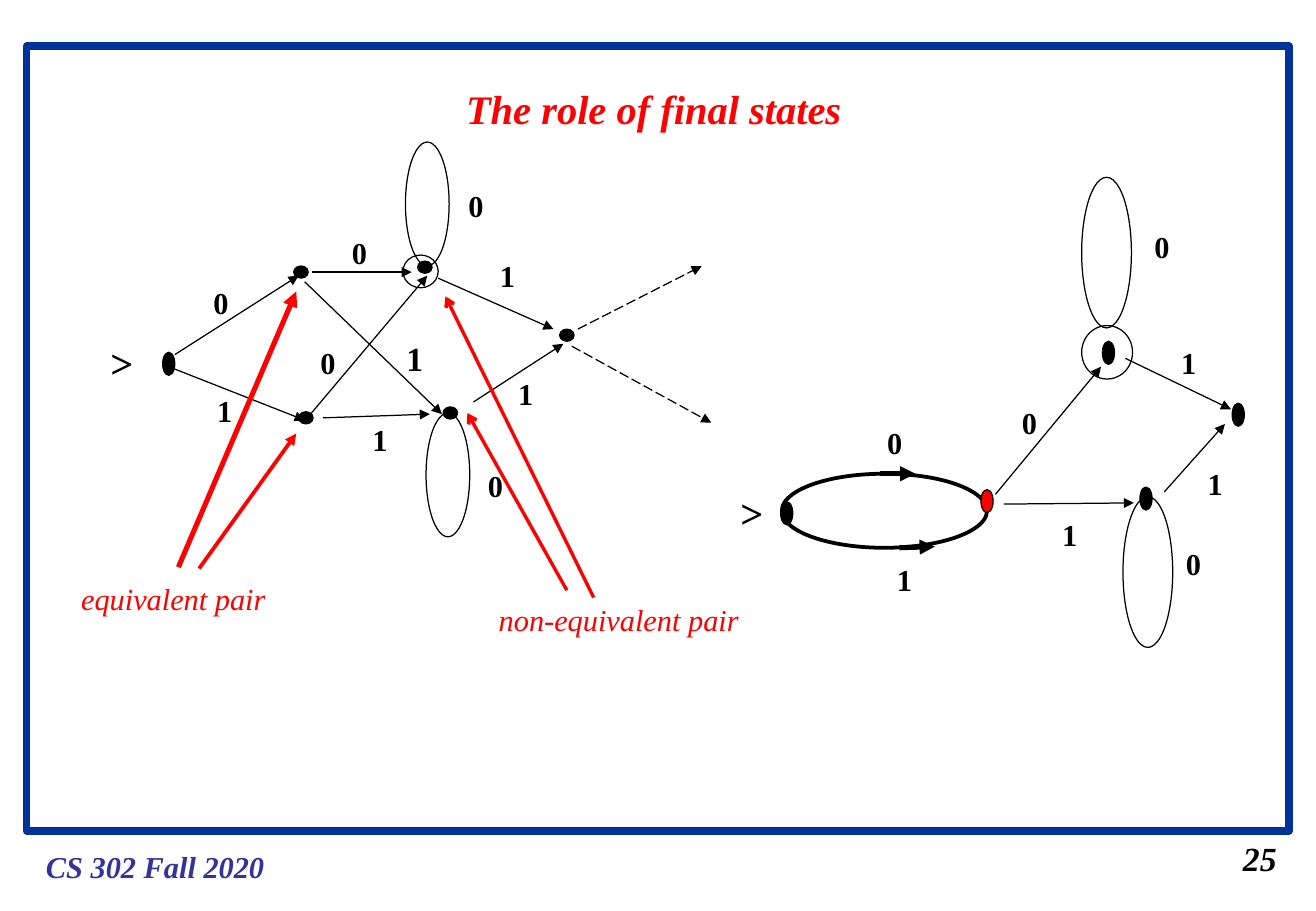
from dataclasses import dataclass

from lxml.etree import SubElement
from pptx import Presentation
from pptx.dml.color import RGBColor
from pptx.enum.dml import MSO_LINE
from pptx.enum.shapes import MSO_CONNECTOR, MSO_SHAPE
from pptx.enum.text import MSO_AUTO_SIZE
from pptx.oxml.ns import qn
from pptx.slide import Slide
from pptx.util import Pt


@dataclass(frozen=True)
class Theme:
    font: str = "Times New Roman"
    black: str = "000000"
    red: str = "FF0000"
    white: str = "FFFFFF"
    frame: str = "003399"
    footer: str = "333399"
    label: float = 18
    large: float = 20
    title: float = 24
    thin: float = 0.75


theme = Theme()


@dataclass(frozen=True)
class Shape:
    x: float
    y: float
    w: float
    h: float
    fill: str = ""
    color: str = theme.black
    width: float = theme.thin
    kind: MSO_SHAPE = MSO_SHAPE.OVAL


@dataclass(frozen=True)
class Arrow:
    x: float
    y: float
    to_x: float
    to_y: float
    color: str = theme.black
    width: float = theme.thin
    dash: bool = False
    head: str = "triangle"


@dataclass(frozen=True)
class Label:
    text: str
    x: float
    y: float
    w: float = 23
    size: float = theme.label
    color: str = theme.black
    bold: bool = True
    slant: bool = False
    wrap: bool = False
    edge: str = ""


def small(x: float, y: float) -> Shape:
    return Shape(x, y, 8.6, 7.2, theme.black)


def tall(x: float, y: float, fill: str = theme.black) -> Shape:
    return Shape(x, y, 7.2, 13.7, fill)


def draw_shape(slide: Slide, item: Shape) -> None:
    shape = slide.shapes.add_shape(item.kind, Pt(item.x), Pt(item.y), Pt(item.w), Pt(item.h))
    shape.shadow.inherit = False
    if item.fill:
        shape.fill.solid()
        shape.fill.fore_color.rgb = RGBColor.from_string(item.fill)
    else:
        shape.fill.background()
    shape.line.color.rgb = RGBColor.from_string(item.color)
    shape.line.width = Pt(item.width)


def draw_arrow(slide: Slide, item: Arrow) -> None:
    arrow = slide.shapes.add_connector(
        MSO_CONNECTOR.STRAIGHT, Pt(item.x), Pt(item.y), Pt(item.to_x), Pt(item.to_y))
    arrow.line.color.rgb = RGBColor.from_string(item.color)
    arrow.line.width = Pt(item.width)
    if item.dash:
        arrow.line.dash_style = MSO_LINE.LONG_DASH
    props = arrow.element.spPr
    SubElement(props.find(qn("a:ln")), qn("a:tailEnd"), type=item.head)
    SubElement(props, qn("a:effectLst"))


def draw_label(slide: Slide, item: Label) -> None:
    high = item.size * 1.2 + 7.2
    box = slide.shapes.add_textbox(Pt(item.x), Pt(item.y), Pt(item.w), Pt(high))
    if item.edge:
        box.line.color.rgb = RGBColor.from_string(item.edge)
        box.line.width = Pt(theme.thin)
    frame = box.text_frame
    frame.word_wrap = item.wrap
    frame.auto_size = MSO_AUTO_SIZE.SHAPE_TO_FIT_TEXT
    frame.text = item.text
    font = frame.paragraphs[0].font
    font.name = theme.font
    font.size = Pt(item.size)
    font.bold = item.bold
    font.italic = item.slant
    font.color.rgb = RGBColor.from_string(item.color)


SHAPES = [
    Shape(15.8, 27.4, 748.8, 465.1, color=theme.frame, width=4.5, kind=MSO_SHAPE.RECTANGLE),
    Shape(252.7, 244.8, 25.9, 73.4),
    Shape(240.5, 84.2, 25.9, 73.4),
    Shape(239, 151.2, 20.9, 19.4),
    Shape(641.5, 105.1, 29.5, 89.3),
    Shape(666, 294.5, 29.5, 89.3),
    Shape(641.5, 193, 30.2, 31.7),
    Shape(463.7, 280.8, 121.7, 43.9, width=2.25),
    tall(96.5, 208.8),
    small(174.2, 157.7),
    small(177.1, 244.1),
    small(247.7, 154.8),
    small(331.9, 195.1),
    small(262.8, 241.2),
    tall(463, 297.4),
    tall(581.8, 290.2, theme.red),
    tall(653.8, 202.3),
    tall(676.1, 288.7),
    tall(730.8, 239),
]

ARROWS = [
    Arrow(342.7, 195.1, 416.2, 157.7, dash=True),
    Arrow(339.1, 205.2, 421.9, 250.6, dash=True),
    Arrow(103.7, 210.2, 177.1, 163.4),
    Arrow(102.2, 218.2, 180.7, 249.1),
    Arrow(180.7, 167, 262.1, 245.5),
    Arrow(182.9, 247, 253.4, 163.4),
    Arrow(185, 161.3, 244.1, 161.3),
    Arrow(191.5, 247.7, 254.9, 245.5),
    Arrow(259.9, 164.9, 328.3, 195.1),
    Arrow(280.8, 238.3, 334.1, 203.8),
    Arrow(522, 280.8, 542.9, 280.8, width=3),
    Arrow(533.5, 324.7, 554.4, 324, width=3),
    Arrow(590.4, 293, 653, 217.4),
    Arrow(595.4, 298.8, 672.5, 298.1),
    Arrow(667.4, 212.4, 730.1, 242.6),
    Arrow(690.5, 291.6, 726.5, 251.3),
    Arrow(105.8, 336.2, 175.7, 172.8, theme.red, 3),
    Arrow(118.1, 337, 175.7, 257, theme.red, 2.25),
    Arrow(352.1, 354.2, 264.2, 175.7, theme.red, 2, head="arrow"),
    Arrow(336.2, 349.9, 277.2, 244.8, theme.red, 2, head="arrow"),
]

ZEROS = [(119.5, 164.9), (201.6, 135.4), (182.9, 200.2), (282.2, 273.6), (270.7, 107.3),
         (519.1, 247.7), (599, 236.2), (677.5, 131.8), (696.2, 319.7)]
ONES = [(121.7, 229), (213.8, 246.2), (289.4, 149), (300.2, 218.9),
        (524.9, 329), (622.8, 302.4), (693.4, 200.2), (709.2, 272.2)]

LABELS = [
    *(Label("0", x, y) for x, y in ZEROS),
    *(Label("1", x, y) for x, y in ONES),
    Label("1", 234, 196.6, 24.5, theme.large),
    Label(">", 58.3, 196.6, 28.1, theme.title, wrap=True),
    Label(">", 432, 285.8, 33.1, theme.title, wrap=True),
    Label("equivalent pair", 41, 340.6, 123.8, color=theme.red, bold=False, slant=True,
          edge=theme.white),
    Label("non-equivalent pair", 288.7, 352.8, 157, color=theme.red, bold=False, slant=True),
    Label("The role of final states", 269.3, 46.1, 236.9, theme.title, theme.red, slant=True),
    Label("CS 302 Fall 2020", 20.2, 499, 144, color=theme.footer, slant=True),
    Label("25", 730.1, 493.2, 34.6, theme.large, slant=True),
]


def main() -> None:
    deck = Presentation()
    deck.slide_width, deck.slide_height = Pt(780.48), Pt(540)
    slide = deck.slides.add_slide(deck.slide_layouts[6])
    for shape in SHAPES:
        draw_shape(slide, shape)
    for arrow in ARROWS:
        draw_arrow(slide, arrow)
    for label in LABELS:
        draw_label(slide, label)
    deck.save("out.pptx")


if __name__ == "__main__":
    main()
